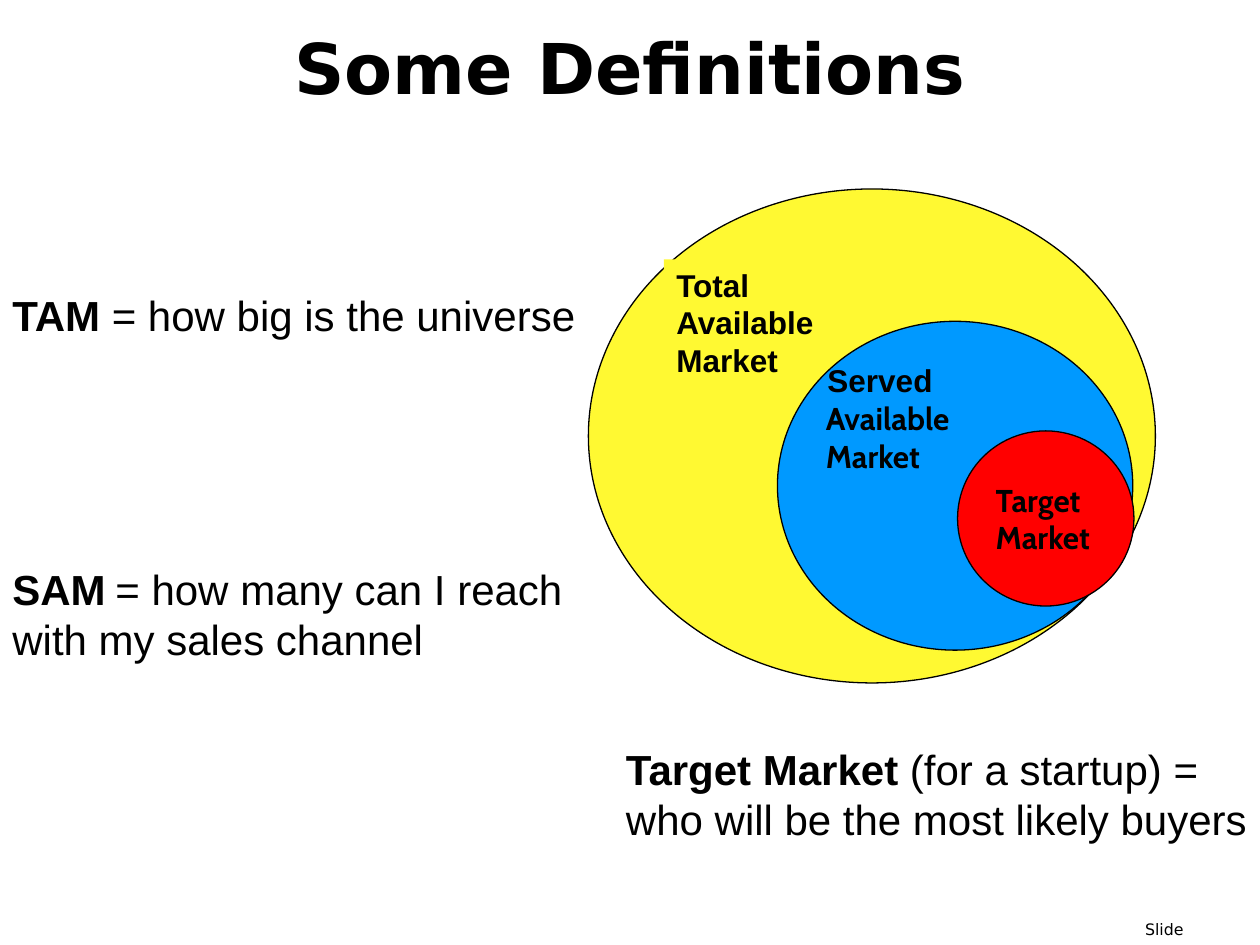
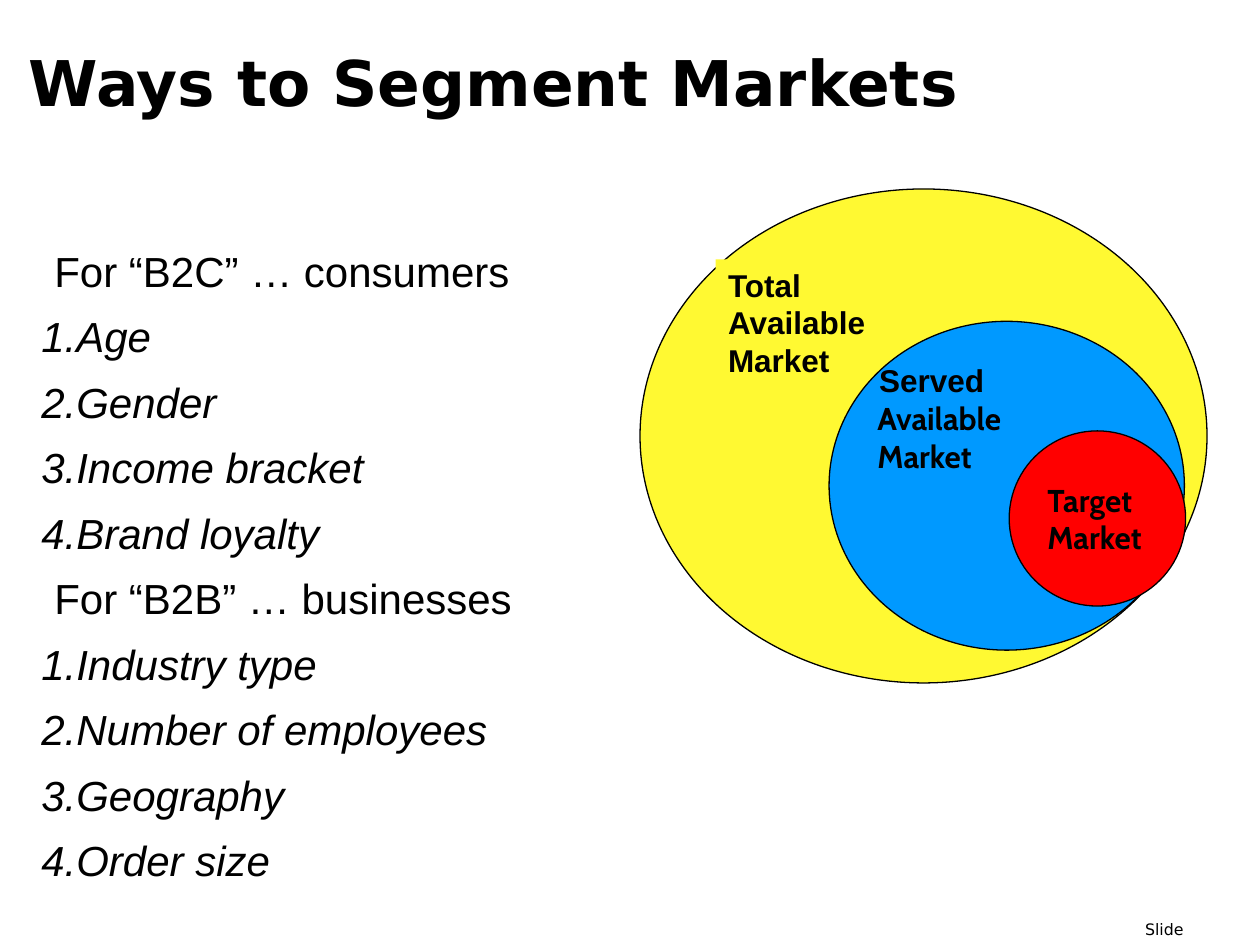
from typing import NamedTuple

from lxml.etree import SubElement
from pptx import Presentation
from pptx.dml.color import RGBColor
from pptx.enum.shapes import MSO_SHAPE as Shape
from pptx.enum.text import MSO_ANCHOR as Anchor, MSO_AUTO_SIZE as AutoSize, PP_ALIGN as Align
from pptx.oxml.ns import qn
from pptx.util import Inches, Pt

COLUMNS, ROWS = 10, 7.5
SLIDE_WIDTH, SLIDE_HEIGHT = Inches(10), Inches(7.5)
TITLE_ONLY = 5

BLACK, YELLOW, BLUE, RED = "000000", "FFF932", "0099FF", "FF0000"
TITLE_FONT, BODY_FONT, LABEL_FONT = "DejaVu Sans", "Arial", "Cabin"
# In the Wingdings symbol font this character is the one o'clock face.
CLOCK_FONT, CLOCK = "Wingdings", "·"


class Box(NamedTuple):
    """A place on the slide grid, in columns and rows."""
    left: float
    top: float
    width: float
    height: float

    def emu(self) -> tuple[int, int, int, int]:
        column, row = SLIDE_WIDTH / COLUMNS, SLIDE_HEIGHT / ROWS
        return (round(self.left * column), round(self.top * row),
                round(self.width * column), round(self.height * row))


class Run(NamedTuple):
    text: str
    size: float = 24
    font: str = BODY_FONT
    bold: bool = False
    italic: bool = False


class MarketPart(NamedTuple):
    """A part of the market diagram; its box starts at the diagram's left edge."""
    box: Box
    fill: str | None = None
    shape: Shape = Shape.OVAL
    runs: tuple[Run, ...] = ()
    anchor: Anchor = Anchor.TOP
    wrap: bool = True


class Segment(NamedTuple):
    heading: str
    criteria: tuple[str, ...]


def label(text: str, font: str = BODY_FONT) -> Run:
    return Run(text, 18, font, bold=True)


FOOTER_BOX = Box(8.99, 7.25, 1, 0.25)
MARKET_PARTS = (
    MarketPart(Box(0, 1.5, 4.5, 3.92), YELLOW),
    MarketPart(Box(0.6, 2.06, 1.56, 1), YELLOW, Shape.RECTANGLE,
               (label("Total\nAvailable\nMarket"),)),
    MarketPart(Box(1.5, 2.55, 2.82, 2.61), BLUE),
    MarketPart(Box(1.73, 2.82, 1.57, 1),
               runs=(label(" Served\n"), label(" Available\n Market", LABEL_FONT))),
    MarketPart(Box(2.93, 3.42, 1.4, 1.39), RED,
               runs=(label("Target \nMarket", LABEL_FONT),), anchor=Anchor.MIDDLE, wrap=False),
)
DEFINITIONS = (
    (Box(0, 4.42, 4.97, 0.9),
     (Run("SAM", bold=True), Run(" ", 20, bold=True), Run("= how many can I reach")),
     (Run("with my sales channel"),)),
    (Box(0, 2.25, 5, 0.5),
     (Run("TAM", bold=True), Run(" = how big is the universe"))),
    (Box(4.87, 5.85, 5.47, 0.9),
     (Run("Target Market ", bold=True),
      Run("(for a startup) = \nwho will be the most likely buyers"))),
)
SEGMENTS = (
    Segment("For “B2C” … consumers", ("Age", "Gender", "Income bracket", "Brand loyalty")),
    Segment("For “B2B” … businesses",
            ("Industry type", "Number of employees", "Geography", "Order size")),
)


def color(value: str) -> RGBColor:
    return RGBColor.from_string(value)


def apply(target, formats: dict) -> None:
    for name, value in formats.items():
        setattr(target, name, value)


def add_runs(paragraph, runs: tuple[Run, ...]) -> None:
    for item in runs:
        for number, line in enumerate(item.text.split("\n")):
            if number:
                paragraph.add_line_break()
            if line:
                run = paragraph.add_run()
                run.text = line
                apply(run.font, {"size": Pt(item.size), "name": item.font,
                                 "bold": item.bold, "italic": item.italic})
                run.font.color.rgb = color(BLACK)


def write(shape, *paragraphs: tuple[Run, ...], anchor=Anchor.TOP, wrap=True, **formats) -> None:
    """Fill a shape's text frame, giving every paragraph the same formats."""
    frame = shape.text_frame
    apply(frame, {"auto_size": AutoSize.NONE, "word_wrap": wrap, "vertical_anchor": anchor})
    for number, runs in enumerate(paragraphs):
        paragraph = frame.add_paragraph() if number else frame.paragraphs[0]
        apply(paragraph, {"alignment": Align.LEFT} | formats)
        add_runs(paragraph, runs)


def add_text(slide, box: Box, *paragraphs: tuple[Run, ...], **formats):
    shape = slide.shapes.add_textbox(*box.emu())
    write(shape, *paragraphs, **formats)
    return shape


def add_titled_slide(presentation, text: str, box: Box, size: float, **formats):
    slide = presentation.slides.add_slide(presentation.slide_layouts[TITLE_ONLY])
    title = slide.shapes.title
    apply(title, dict(zip(("left", "top", "width", "height"), box.emu())))
    write(title, (Run(text, size, TITLE_FONT, bold=True),), line_spacing=0.9, **formats)
    add_text(slide, FOOTER_BOX, (Run("Slide", 9, TITLE_FONT),))
    return slide


def add_market_diagram(slide, left: float) -> None:
    for part in MARKET_PARTS:
        box = part.box._replace(left=left + part.box.left)
        if part.fill is None:
            add_text(slide, box, part.runs)
            continue
        shape = slide.shapes.add_shape(part.shape, *box.emu())
        shape.shadow.inherit = False
        shape.fill.solid()
        shape.fill.fore_color.rgb = color(part.fill)
        if part.shape == Shape.OVAL:
            shape.line.color.rgb = color(BLACK)
            shape.line.width = Pt(0.75)
        else:
            shape.line.fill.background()
        if part.runs:
            write(shape, part.runs, anchor=part.anchor, wrap=part.wrap)


def set_bullet(paragraph, margin: float, marks: dict[str, dict[str, str]]) -> None:
    """Indent a paragraph and add its bullet elements, given as tag and attributes."""
    properties = paragraph._p.get_or_add_pPr()
    properties.set("marL", str(Inches(margin)))
    properties.set("indent", "0")
    for tag, attributes in marks.items():
        SubElement(properties, qn(tag), attributes)


def add_segment_list(slide, box: Box) -> None:
    paragraphs = []
    for segment in SEGMENTS:
        paragraphs.append((Run(segment.heading),))
        paragraphs += [(Run(criterion, italic=True),) for criterion in segment.criteria]
    shape = add_text(slide, box, *paragraphs, line_spacing=1.3)
    for paragraph, (run,) in zip(shape.text_frame.paragraphs, paragraphs):
        if run.italic:
            paragraph.level = 1
            set_bullet(paragraph, 0.23, {"a:buAutoNum": {"type": "arabicPeriod"}})
        else:
            set_bullet(paragraph, 0, {"a:buFont": {"typeface": CLOCK_FONT, "charset": "2"},
                                      "a:buChar": {"char": CLOCK}})


def main() -> None:
    presentation = Presentation()
    apply(presentation, {"slide_width": SLIDE_WIDTH, "slide_height": SLIDE_HEIGHT})

    definitions = add_titled_slide(presentation, "Some Definitions",
                                   Box(-0.79, -0.25, 11.58, 1.17), 40,
                                   anchor=Anchor.BOTTOM, alignment=Align.CENTER)
    add_market_diagram(definitions, 4.67)
    for box, *paragraphs in DEFINITIONS:
        add_text(definitions, box, *paragraphs)

    segments = add_titled_slide(presentation, "Ways to Segment Markets",
                                Box(0.13, 0.36, 9.75, 1.17), 36)
    add_market_diagram(segments, 5.08)
    add_segment_list(segments, Box(0, 1.78, 5.08, 5.93))

    presentation.save("out.pptx")


if __name__ == "__main__":
    main()
